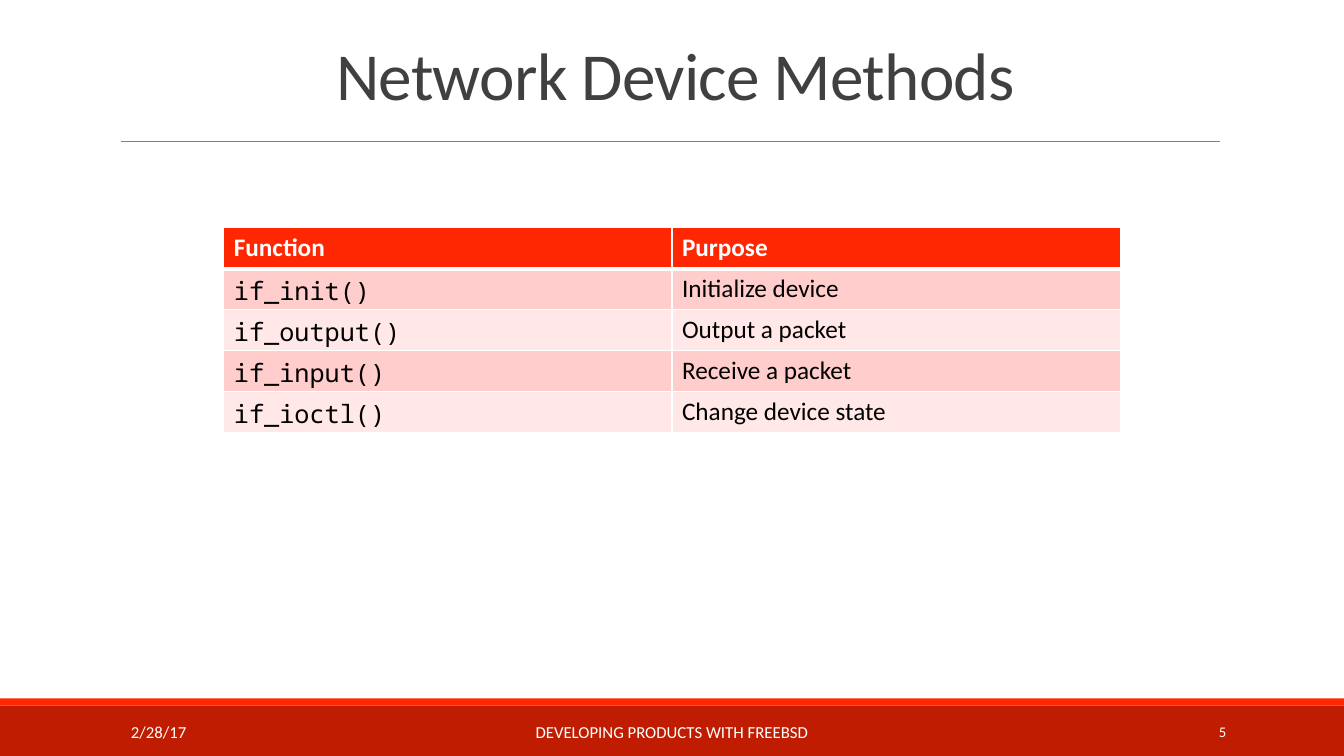
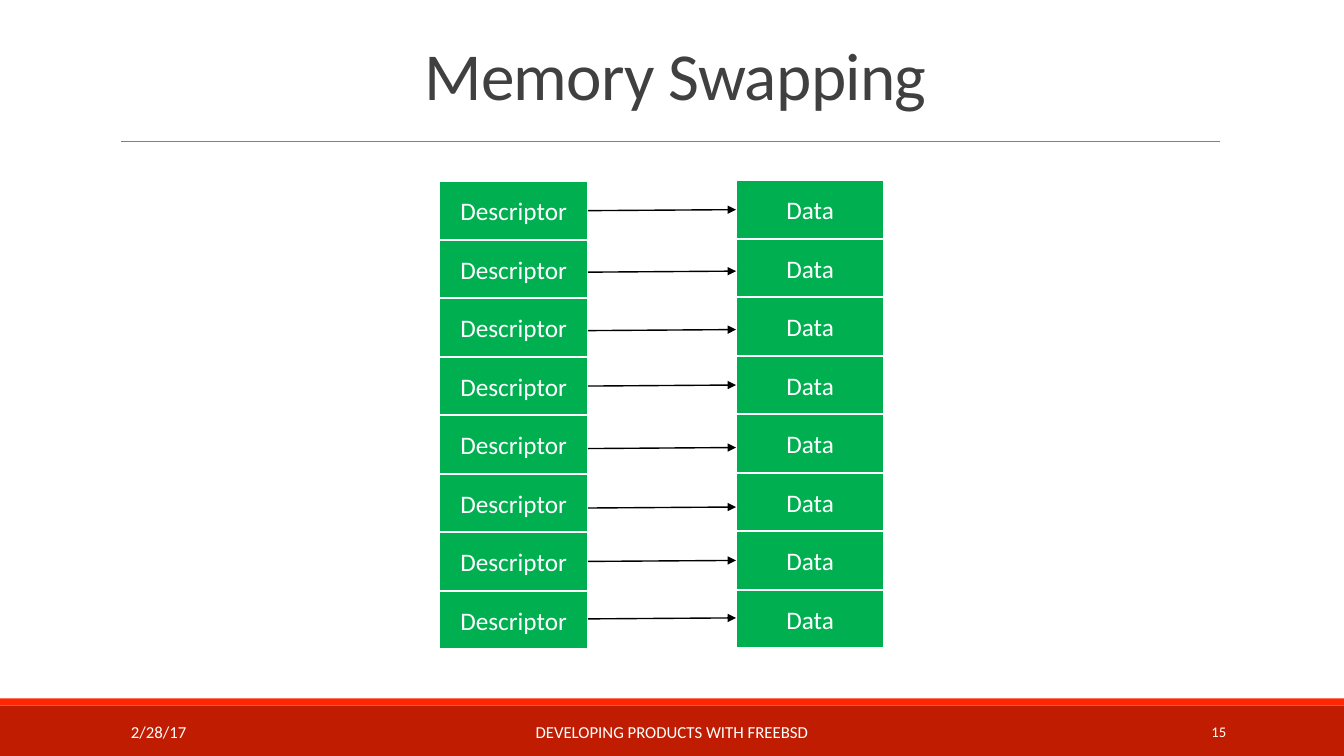
from dataclasses import dataclass

from lxml import etree
from pptx import Presentation
from pptx.dml.color import RGBColor
from pptx.enum.shapes import MSO_CONNECTOR, MSO_SHAPE
from pptx.enum.text import MSO_ANCHOR, PP_ALIGN
from pptx.oxml.ns import qn
from pptx.util import Inches, Pt

RECT = MSO_SHAPE.RECTANGLE
STRAIGHT = MSO_CONNECTOR.STRAIGHT
MIDDLE = MSO_ANCHOR.MIDDLE
LEFT, CENTER, RIGHT = PP_ALIGN.LEFT, PP_ALIGN.CENTER, PP_ALIGN.RIGHT


@dataclass(frozen=True)
class Theme:
    # Colours
    white: str = "FFFFFF"
    black: str = "000000"
    title: str = "404040"
    rule: str = "808080"
    red: str = "FF2602"
    dark_red: str = "C01C01"
    bands: tuple = ("FFCDCC", "FFE8E7")
    green: str = "00B050"
    # Fonts and type sizes
    font: str = "Calibri"
    mono: str = "Noto Sans Mono"
    title_size: float = 48
    body_size: float = 18
    footer_size: float = 12
    number_size: float = 10.5


T = Theme()
WIDTH, HEIGHT = 13.33, 7.5
DATE = "2/28/17"
FOOTER = "DEVELOPING PRODUCTS WITH FREEBSD"

METHODS = [
    ("Function", "Purpose"),
    ("if_init()", "Initialize device"),
    ("if_output()", "Output a packet"),
    ("if_input()", "Receive a packet"),
    ("if_ioctl()", "Change device state"),
]
ARROW_YS = [2.09, 2.7, 3.28, 3.83, 4.45, 5.04, 5.57, 6.14]


def rgb(color):
    return RGBColor.from_string(color)


def write(tf, text, size, color, align=LEFT, font=T.font, bold=False):
    """Put one formatted run in a text frame."""
    p = tf.paragraphs[0]
    p.alignment = align
    r = p.add_run()
    r.text = text
    formats = {"name": font, "size": Pt(size), "bold": bold}
    for name, value in formats.items():
        setattr(r.font, name, value)
    r.font.color.rgb = rgb(color)
    return p, r


def add_text(s, box, text, size, color, align=LEFT):
    tf = s.shapes.add_textbox(*map(Inches, box)).text_frame
    tf.word_wrap = True
    tf.vertical_anchor = MIDDLE
    return write(tf, text, size, color, align)


def add_box(s, box, fill, text=None):
    """Plain rectangle, or an outlined one when it has a label."""
    sp = s.shapes.add_shape(RECT, *map(Inches, box))
    sp.shadow.inherit = False
    sp.fill.solid()
    sp.fill.fore_color.rgb = rgb(fill)
    if text is None:
        sp.line.fill.background()
        return
    sp.line.color.rgb = rgb(T.white)
    sp.line.width = Pt(1.25)
    sp.text_frame.vertical_anchor = MIDDLE
    write(sp.text_frame, text, T.body_size, T.white, CENTER)


def add_line(s, start, end, color, width, arrow=False):
    line = s.shapes.add_connector(STRAIGHT, *map(Inches, start + end))
    line.line.color.rgb = rgb(color)
    line.line.width = Pt(width)
    if arrow:
        ln = line.line._get_or_add_ln()
        etree.SubElement(ln, qn("a:tailEnd"), type="triangle")
    etree.SubElement(line._element.spPr, qn("a:effectLst"))


def set_borders(cell, widths):
    """White cell borders; widths are in points by side."""
    tc_pr = cell._tc.get_or_add_tcPr()
    for i, (side, width) in enumerate(widths.items()):
        ln = etree.Element(qn(f"a:ln{side}"), w=str(Pt(width)))
        fill = etree.SubElement(ln, qn("a:solidFill"))
        etree.SubElement(fill, qn("a:srgbClr"), val=T.white)
        tc_pr.insert(i, ln)


def add_methods_table(s, box, rows):
    frame = s.shapes.add_table(len(rows), len(rows[0]), *map(Inches, box))
    for i, row in enumerate(rows):
        header = i == 0
        fill = T.red if header else T.bands[(i - 1) % 2]
        color = T.white if header else T.black
        borders = {"L": 1, "R": 1, "T": 3 if i == 1 else 1, "B": 3 if header else 1}
        for j, text in enumerate(row):
            cell = frame.table.cell(i, j)
            cell.fill.solid()
            cell.fill.fore_color.rgb = rgb(fill)
            set_borders(cell, borders)
            font = T.mono if j == 0 and not header else T.font
            write(cell.text_frame, text, T.body_size, color, font=font, bold=header)


def add_slide(prs, title, number):
    """Blank slide with the shared title, rule and footer band."""
    s = prs.slides.add_slide(prs.slide_layouts[6])
    add_box(s, (0, 7, WIDTH, 0.5), T.dark_red)
    add_box(s, (0, 6.93, WIDTH, 0.07), T.red)
    add_line(s, (1.2, 1.4), (12.1, 1.4), T.rule, 0.5)

    p, r = add_text(s, (1.2, 0.31, 11, 0.96), title, T.title_size, T.title, CENTER)
    p.line_spacing = 0.85
    r._r.get_or_add_rPr().set("spc", "-50")

    footers = [
        (1.2, 2.7, DATE, T.footer_size, LEFT),
        (4.03, 5.27, FOOTER, T.footer_size, CENTER),
        (10.83, 1.43, str(number), T.number_size, RIGHT),
    ]
    for x, width, text, size, align in footers:
        add_text(s, (x, 7.06, width, 0.4), text, size, T.white, align)
    return s


def add_stack(s, x, top, label, count):
    """Column of touching boxes with the same label."""
    width, height = 1.47, 0.58
    for i in range(count):
        add_box(s, (x, top + i * height, width, height), T.green, label)


def main():
    prs = Presentation()
    prs.slide_width, prs.slide_height = Inches(WIDTH), Inches(HEIGHT)

    # Table of device methods
    s = add_slide(prs, "Network Device Methods", 5)
    add_methods_table(s, (2.22, 2.26, 8.89, 2.03), METHODS)

    # Descriptors pointing to their data
    s = add_slide(prs, "Memory Swapping", 15)
    add_stack(s, 4.36, 1.8, "Descriptor", len(ARROW_YS))
    add_stack(s, 7.3, 1.79, "Data", len(ARROW_YS))
    for y in ARROW_YS:
        add_line(s, (5.83, y), (7.3, y - 0.01), T.black, 1, arrow=True)

    prs.save("out.pptx")


if __name__ == "__main__":
    main()
